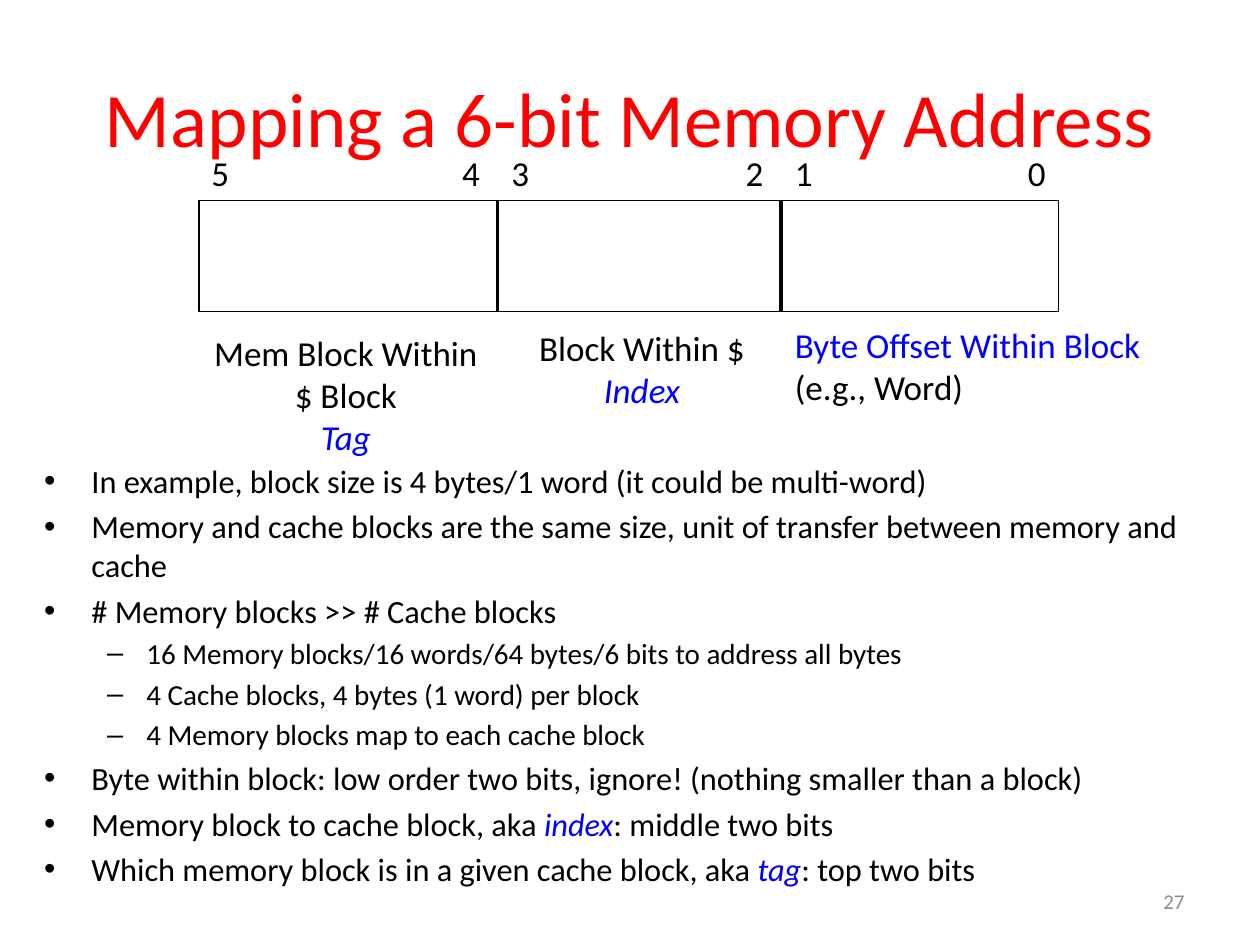
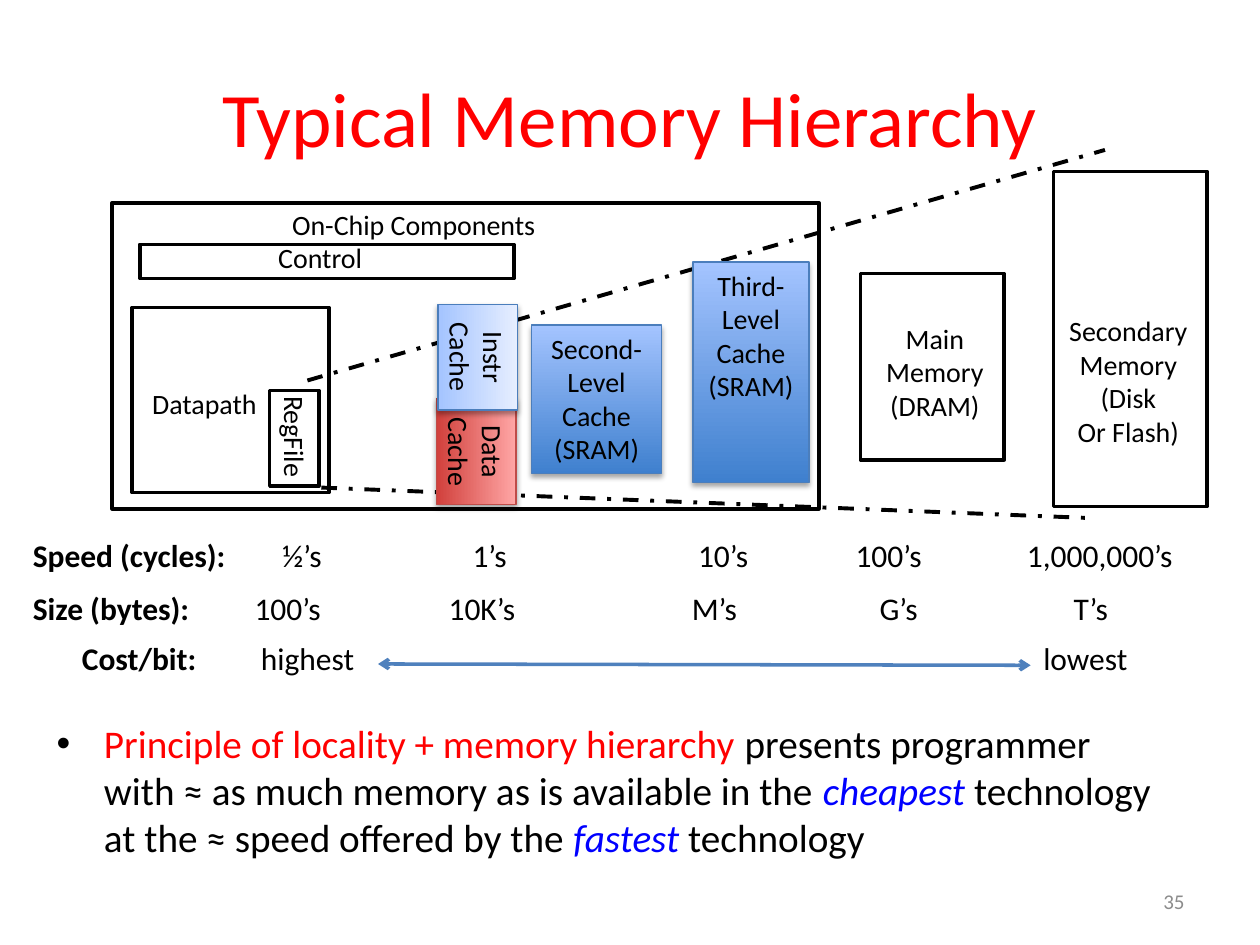
"""Build two lecture slides: memory address mapping and the memory hierarchy."""
from lxml.etree import SubElement
from pptx import Presentation
from pptx.dml.color import RGBColor
from pptx.enum.dml import MSO_LINE
from pptx.enum.shapes import MSO_CONNECTOR, MSO_SHAPE
from pptx.enum.text import MSO_ANCHOR, MSO_AUTO_SIZE, PP_ALIGN
from pptx.oxml.ns import qn
from pptx.util import Inches, Pt

FONT = "Calibri"
RED, BLUE, BLACK, GRAY = "FF0000", "0000FF", "000000", "8C8C8C"
ARROW_BLUE = "4F81BD"
LEFT, CENTER, RIGHT = PP_ALIGN.LEFT, PP_ALIGN.CENTER, PP_ALIGN.RIGHT


def write(frame, paragraphs, size, align=LEFT, wrap=False):
    """Fill a frame; a run is a string or a (text, colour, style) tuple."""
    frame.word_wrap = wrap
    frame.auto_size = MSO_AUTO_SIZE.NONE
    for index, runs in enumerate(paragraphs):
        paragraph = frame.add_paragraph() if index else frame.paragraphs[0]
        paragraph.alignment = align
        for part in [runs] if isinstance(runs, (str, tuple)) else runs:
            text, color, style = (part, BLACK, "") if isinstance(part, str) else part
            run = paragraph.add_run()
            run.text = text
            run.font.name = FONT
            run.font.size = Pt(size)
            run.font.bold = style == "bold"
            run.font.italic = style == "italic"
            run.font.color.rgb = RGBColor.from_string(color)


def draw_line(slide, start, end, color, width):
    """Draw a straight line without shadow and return it."""
    line = slide.shapes.add_connector(
        MSO_CONNECTOR.STRAIGHT, *(Inches(value) for value in start + end))
    line.line.color.rgb = RGBColor.from_string(color)
    line.line.width = Pt(width)
    SubElement(line._element.spPr, qn("a:effectLst"))
    return line


deck = Presentation()
deck.slide_width, deck.slide_height = Inches(10), Inches(7.5)

mapping_points = [
    (0, "In example, block size is 4 bytes/1 word (it could be multi-word)"),
    (0, "Memory and cache blocks are the same size, unit of transfer between memory and cache"),
    (0, "# Memory blocks >> # Cache blocks"),
    (1, "16 Memory blocks/16 words/64 bytes/6 bits to address all bytes"),
    (1, "4 Cache blocks, 4 bytes (1 word) per block"),
    (1, "4 Memory blocks map to each cache block"),
    (0, "Byte within block: low order two bits, ignore! (nothing smaller than a block)"),
    (0, ["Memory block to cache block, aka ", ("index", BLUE, "italic"), ": middle two bits"]),
    (0, ["Which memory block is in a given cache block, aka ", ("tag", BLUE, "italic"),
         ": top two bits"]),
]
locality = [(0, [
    ("Principle of locality + memory hierarchy ", RED, ""),
    "presents programmer with ≈ as much memory as is available in the ",
    ("cheapest ", BLUE, "italic"), "technology at the ≈ speed offered by the ",
    ("fastest ", BLUE, "italic"), "technology"])]

slides = []
for title, number, points, body_place, body_size in [
    ("Mapping a 6-bit Memory Address", "27", mapping_points, (0.25, 3.61, 9.75, 3.47), 18.5),
    ("Typical Memory Hierarchy", "35", locality, (0.35, 5.66, 9, 1.31), 22.4),
]:
    slide = deck.slides.add_slide(deck.slide_layouts[1])
    slides.append(slide)
    heading, body = slide.placeholders
    for holder, place in [(heading, (0.5, 0.3, 9, 1.25)), (body, body_place)]:
        holder.left, holder.top, holder.width, holder.height = map(Inches, place)
    write(heading.text_frame, [(title, RED, "")], 44, CENTER, True)
    heading.text_frame.vertical_anchor = MSO_ANCHOR.MIDDLE
    write(body.text_frame, [runs for level, runs in points], body_size, wrap=True)
    for paragraph, (level, runs) in zip(body.text_frame.paragraphs, points):
        paragraph.level = level
        if level:
            paragraph.runs[0].font.size = Pt(16.6)
        bullet_color = SubElement(paragraph._p.get_or_add_pPr(), qn("a:buClr"))
        SubElement(bullet_color, qn("a:srgbClr"), val=BLACK)
    page = slide.shapes.add_textbox(Inches(7.17), Inches(6.95), Inches(2.33), Inches(0.4))
    write(page.text_frame, [(number, GRAY, "")], 12, RIGHT, True)
    page.text_frame.vertical_anchor = MSO_ANCHOR.MIDDLE
mapping, hierarchy = slides

for slide, place, width in [
    (mapping, (1.58, 1.59, 6.82, 0.88), 0.75),
    (hierarchy, (0.89, 1.61, 5.61, 2.43), 2),
    (hierarchy, (1.11, 1.94, 2.97, 0.27), 2),
    (hierarchy, (1.05, 2.44, 1.56, 1.47), 2),
    (hierarchy, (2.14, 3.1, 0.39, 0.76), 2),
    (hierarchy, (6.83, 2.17, 1.14, 1.48), 2),
    (hierarchy, (8.36, 1.36, 1.22, 2.66), 2),
]:
    outline = slide.shapes.add_shape(MSO_SHAPE.RECTANGLE, *map(Inches, place))
    outline.shadow.inherit = False
    outline.fill.background()
    outline.line.color.rgb = RGBColor.from_string(BLACK)
    outline.line.width = Pt(width)

for divider_x in (3.95, 6.2):
    draw_line(mapping, (divider_x, 1.59), (divider_x, 2.47), BLACK, 2)
for start, end in [((2.44, 3.02), (8.77, 1.19)), ((2.55, 3.87), (8.61, 4.11))]:
    draw_line(hierarchy, start, end, BLACK, 2.25).line.dash_style = MSO_LINE.DASH_DOT
cost_arrow = draw_line(hierarchy, (3, 5.27), (8.18, 5.28), ARROW_BLUE, 2)
for arrow_end in ("a:headEnd", "a:tailEnd"):
    SubElement(cost_arrow.line._get_or_add_ln(), qn(arrow_end), type="arrow")

bit_numbers = [
    (mapping, (x, 1.15, 0.34, 0.44), [bit], 20, LEFT, 0)
    for bit, x in zip("543210", (1.58, 3.57, 3.96, 5.82, 6.21, 8.06))]
field_names = [
    (mapping, (1.59, 2.58, 2.31, 1.11),
     ["Mem Block Within", "$ Block", ("Tag", BLUE, "italic")], 20, CENTER, 0),
    (mapping, (4.17, 2.54, 1.85, 0.77),
     ["Block Within $", ("Index", BLUE, "italic")], 20, CENTER, 0),
    (mapping, (6.21, 2.52, 2.97, 0.77),
     [("Byte Offset Within Block", BLUE, ""), "(e.g., Word)"], 20, LEFT, 0),
]
component_names = [
    (hierarchy, (2.22, 1.6, 2.15, 0.36), ["On-Chip Components"], 16, LEFT, 0),
    (hierarchy, (2.11, 1.86, 0.91, 0.36), ["Control"], 16, LEFT, 0),
    (hierarchy, (1.11, 3.02, 1.1, 0.36), ["Datapath"], 16, LEFT, 0),
    (hierarchy, (1.91, 3.3, 0.87, 0.36), ["RegFile"], 16, LEFT, 90),
    (hierarchy, (6.92, 2.5, 1, 0.9), ["Main", "Memory", "(DRAM)"], 16, CENTER, 0),
    (hierarchy, (8.38, 2.44, 1.15, 1.18),
     ["Secondary", "Memory", "(Disk", "Or Flash)"], 16, CENTER, 0),
]
for slide, place, lines, size, align, rotation in bit_numbers + field_names + component_names:
    label = slide.shapes.add_textbox(*map(Inches, place))
    label.rotation = rotation
    write(label.text_frame, lines, size, align)

deep_blue = ("3F80CE", "A4C4FF", "4B7EBC")
pale_blue = ("A4C4FF", "E6EEFF", "4B7EBC")
deep_red = ("D1403C", "FFA6A5", "BF4C48")
for place, rotation, (dark, light, edge), lines in [
    ((4.22, 2.58, 1.03, 1.18), 0, deep_blue, ["Second-Level", "Cache", "(SRAM)"]),
    ((5.5, 2.08, 0.92, 1.75), 0, deep_blue, ["Third-Level", "Cache", "(SRAM)"]),
    ((3.36, 3.27, 0.84, 0.63), 90, deep_red, ["Data", "Cache"]),
    ((3.37, 2.52, 0.84, 0.63), 90, pale_blue, ["Instr", "Cache"]),
]:
    cache = hierarchy.shapes.add_shape(MSO_SHAPE.RECTANGLE, *map(Inches, place))
    cache.rotation = rotation
    cache.fill.gradient()
    cache.fill.gradient_angle = 90
    for stop, color, position in zip(cache.fill.gradient_stops, (dark, light), (0, 1)):
        stop.color.rgb = RGBColor.from_string(color)
        stop.position = position
    cache.line.color.rgb = RGBColor.from_string(edge)
    cache.line.width = Pt(0.75)
    cache.shadow.inherit = False
    shadow = SubElement(
        cache._element.spPr.find(qn("a:effectLst")), qn("a:outerShdw"),
        blurRad=str(Pt(3.1)), dist=str(Pt(1.8)), dir="5400000", rotWithShape="0")
    shadow_color = SubElement(shadow, qn("a:srgbClr"), val=BLACK)
    SubElement(shadow_color, qn("a:alpha"), val="35000")
    write(cache.text_frame, lines, 16, CENTER, rotation == 0)
    cache.text_frame.vertical_anchor = MSO_ANCHOR.TOP

for left, top, heading, values in [
    (0.19, 4.27, "Speed (cycles):",
     {2.24: "½’s", 3.75: "1’s", 5.54: "10’s", 6.79: "100’s", 8.15: "1,000,000’s"}),
    (0.19, 4.69, "Size (bytes):",
     {2.02: "100’s", 3.56: "10K’s", 5.49: "M’s", 6.98: "G’s", 8.52: "T’s"}),
    (0.58, 5.09, "Cost/bit:", {2.07: "highest", 8.28: "lowest"}),
]:
    measure = hierarchy.shapes.add_textbox(
        Inches(left), Inches(top), Inches(9.6 - left), Inches(0.32))
    frame = measure.text_frame
    frame.margin_left = frame.margin_right = Inches(0.07)
    frame.margin_top = frame.margin_bottom = Inches(0.03)
    write(frame, [[(heading, BLACK, "bold")] + [f"\t{value}" for value in values.values()]],
          18, wrap=True)
    frame.paragraphs[0].line_spacing = 0.85
    tabs = SubElement(frame.paragraphs[0]._p.get_or_add_pPr(), qn("a:tabLst"))
    for x in values:
        SubElement(tabs, qn("a:tab"), pos=str(Inches(x - left - 0.07)), algn="l")

deck.save("out.pptx")
